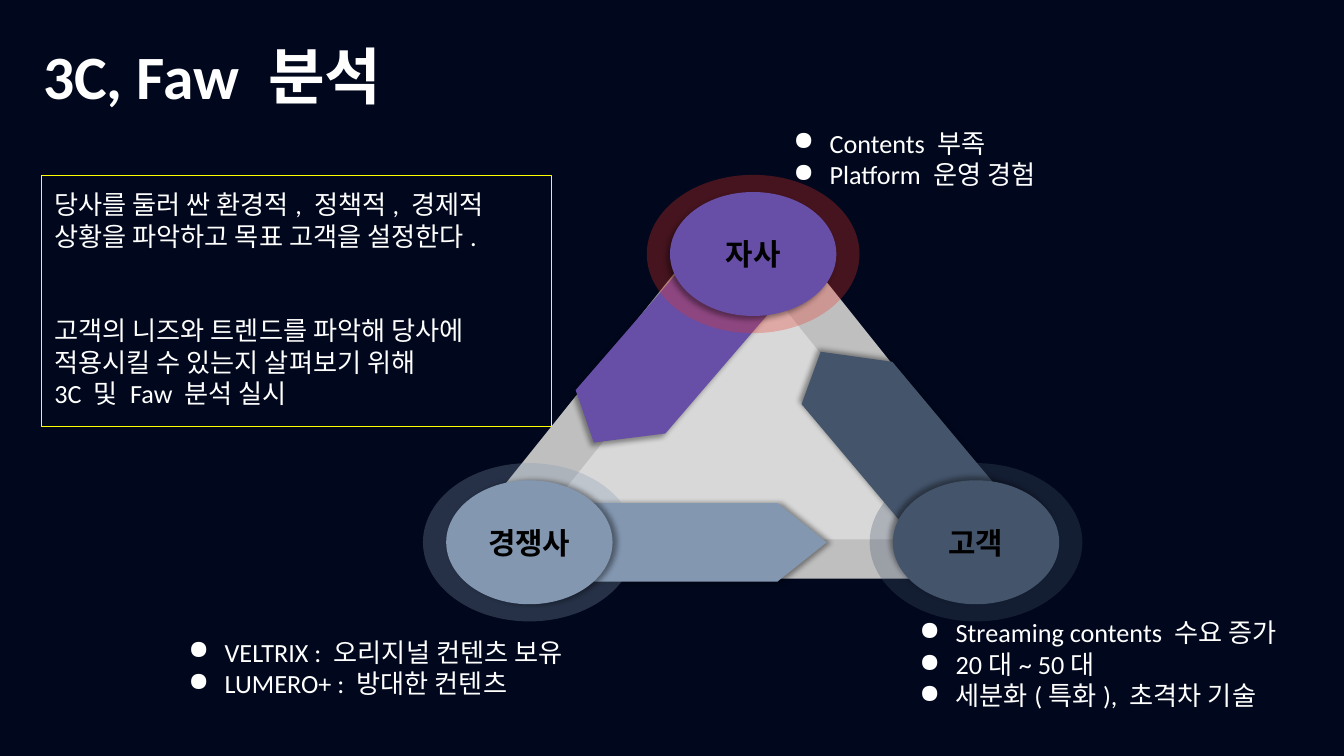
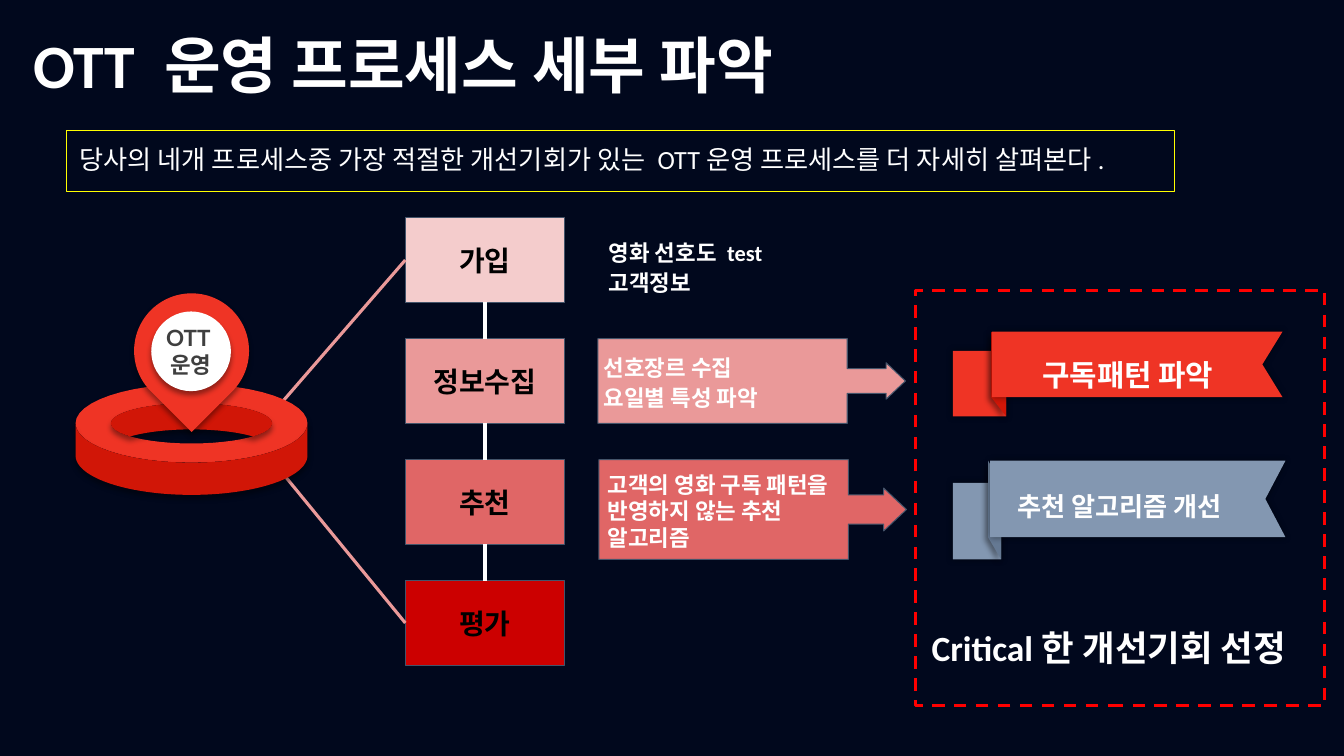
from math import cos, pi, radians, sin

from lxml import etree
from pptx import Presentation
from pptx.dml.color import RGBColor
from pptx.enum.dml import MSO_LINE
from pptx.enum.shapes import MSO_CONNECTOR, MSO_SHAPE
from pptx.enum.text import MSO_ANCHOR, MSO_AUTO_SIZE, PP_ALIGN
from pptx.oxml.ns import qn
from pptx.util import Inches, Pt

RECT, OVAL, TEARDROP = MSO_SHAPE.RECTANGLE, MSO_SHAPE.OVAL, MSO_SHAPE.TEAR
CALLOUT, STRAIGHT, DASH = MSO_SHAPE.RIGHT_ARROW_CALLOUT, MSO_CONNECTOR.STRAIGHT, MSO_LINE.DASH
TOP, MIDDLE = MSO_ANCHOR.TOP, MSO_ANCHOR.MIDDLE
LEFT, CENTER = PP_ALIGN.LEFT, PP_ALIGN.CENTER
NO_FIT = MSO_AUTO_SIZE.NONE

# Shared look
NIGHT, WHITE, BLACK, YELLOW = "01081D", "FFFFFF", "000000", "FFFF00"
RED, DARK_RED, PURPLE = "EF3425", "D11607", "674EA7"
SLATE, STEEL, DARK_STEEL, EDGE = "44546B", "8397B1", "657993", "44546A"
ROSE, CORAL = "EA9999", "E06666"
TITLE = {"name": "Calibri", "size": 44, "bold": True}
BODY = {"name": "Calibri", "size": 18.7, "bold": False}
NOTE = {"name": "Calibri", "size": 16, "bold": True}
NODE = {"name": "Arial", "size": 21.3, "bold": True}
STEP = {"name": "Arial", "size": 20, "bold": True}
PIN = {"name": "Lato", "size": 16, "bold": True}
CRITICAL = {"name": "Calibri", "size": 25.3, "bold": True}

# Slide 1 content
PURPOSE = [
    "당사를 둘러 싼 환경적, 정책적, 경제적 상황을 파악하고 목표 고객을 설정한다.",
    "고객의 니즈와 트렌드를 파악해 당사에 적용시킬 수 있는지 살펴보기 위해",
    "3C 및 Faw 분석 실시",
]
PLAYERS = [  # name, centre, colour, halo colour, shadow angle
    ("고객", (9.68, 5.38), SLATE, SLATE, 225),
    ("경쟁사", (5.25, 5.38), STEEL, STEEL, 0),
    ("자사", (7.47, 2.52), PURPLE, RED, 135),
]
FINDINGS = [  # box, lines, space before later lines
    ((1.63, 6.26, 4.67, 0.8), ["VELTRIX : 오리지널 컨텐츠 보유", "LUMERO+ : 방대한 컨텐츠"]),
    ((7.63, 1.21, 3.36, 0.6), ["Contents 부족", "Platform 운영 경험"]),
    ((8.88, 6.07, 3.98, 0.9),
     ["Streaming contents 수요 증가", "20대~ 50대", "세분화(특화), 초격차 기술"]),
]
FLOW_ARROWS = [  # colour, shadow angle, outline
    (SLATE, 225, [(9.87, 4.81), (8.85, 3.59), (8.14, 3.49), (7.95, 4.01), (8.97, 5.22)]),
    (PURPLE, 135, [(7.64, 3.09), (6.6, 4.3), (5.89, 4.39), (5.71, 3.87), (6.75, 2.67)]),
    (STEEL, 0, [(5.79, 5.77), (7.71, 5.77), (8.2, 5.38), (7.71, 4.99), (5.79, 4.99)]),
]

# Slide 2 content
SUMMARY = "당사의 네개 프로세스중 가장 적절한 개선기회가 있는 OTT운영 프로세스를 더 자세히 살펴본다."
STEPS = [("가입", "F4CCCC"), ("정보수집", ROSE), ("추천", CORAL), ("평가", "CC0000")]
CALLOUTS = [((5.94, 4.56, 3.05, 0.99), CORAL), ((5.93, 3.36, 3.05, 0.84), ROSE)]
STEP_NOTES = [
    ((5.94, 2.32, 1.78, 0.57), ["영화 선호도 test", "고객정보"]),
    ((5.89, 3.46, 1.87, 0.69), ["선호장르 수집", "요일별 특성 파악"]),
    ((5.93, 4.62, 2.41, 1.06), ["고객의 영화 구독 패턴을 반영하지 않는 추천 알고리즘"]),
]
RIBBONS = [  # banner box, tab width, tab drop, fold left, colours, text, text box, size
    ((9.84, 3.29, 2.88, 0.65), 0.53, 0.19, 9.83, (RED, DARK_RED),
     "구독패턴 파악", (10.24, 3.26, 2.08, 0.4), 21.3),
    ((9.82, 4.57, 2.93, 0.76), 0.48, 0.22, 9.8, (STEEL, DARK_STEEL),
     "추천 알고리즘 개선", (9.99, 4.61, 2.82, 0.47), 18.7),
]


def rgb(value):
    return RGBColor.from_string(value)


def child(parent, tag, **attributes):
    return etree.SubElement(parent, qn(tag), {k: str(v) for k, v in attributes.items()})


def paint(shape, fill=None, line=None, width=0.75, dash=None, alpha=None, shadow=None):
    """Fill, outline and shadow; shadow is (blur, distance, angle)."""
    if fill:
        shape.fill.solid()
        shape.fill.fore_color.rgb = rgb(fill)
    else:
        shape.fill.background()
    properties = shape.element.spPr
    if alpha:
        child(properties.find(".//" + qn("a:srgbClr")), "a:alpha", val=alpha * 1000)
    if line:
        shape.line.color.rgb = rgb(line)
        shape.line.width = Pt(width)
        if dash:
            shape.line.dash_style = dash
    else:
        shape.line.fill.background()
    shape.shadow.inherit = False
    if shadow:
        blur, distance, angle = shadow
        cast = child(properties.find(qn("a:effectLst")), "a:outerShdw", blurRad=Pt(blur),
                     dist=Pt(distance), dir=angle * 60000, algn="ctr", rotWithShape=0)
        child(child(cast, "a:srgbClr", val=BLACK), "a:alpha", val=40000)
    return shape


def write(shape, lines, font, color=WHITE, insets=(0.1, 0.05), anchor=TOP, align=LEFT,
          before=(), bullet=False, spacing=None):
    """Write one paragraph per line; before holds the gaps above lines 2, 3, ..."""
    frame = shape.text_frame
    side, end = map(Inches, insets)
    frame_format = {"word_wrap": True, "auto_size": NO_FIT, "vertical_anchor": anchor,
                    "margin_left": side, "margin_right": side,
                    "margin_top": end, "margin_bottom": end}
    for name, value in frame_format.items():
        setattr(frame, name, value)
    for i, line in enumerate(lines):
        paragraph = frame.add_paragraph() if i else frame.paragraphs[0]
        paragraph.alignment = align
        if 0 < i <= len(before):
            paragraph.space_before = Pt(before[i - 1])
        if spacing:
            paragraph.line_spacing = spacing
        if bullet:
            properties = paragraph._p.get_or_add_pPr()
            properties.set("marL", str(Inches(0.5)))
            properties.set("indent", str(Inches(-0.36)))
            child(child(properties, "a:buClr"), "a:srgbClr", val=WHITE)
            child(properties, "a:buChar", char="●")
        run = paragraph.add_run()
        run.text = line
        for name, value in font.items():
            setattr(run.font, name, Pt(value) if name == "size" else value)
        run.font.color.rgb = rgb(color)


def add_shape(slide, kind, box, **look):
    return paint(slide.shapes.add_shape(kind, *map(Inches, box)), **look)


def add_text(slide, box, lines, font, **layout):
    write(slide.shapes.add_textbox(*map(Inches, box)), lines, font, **layout)


def add_outline(slide, *contours, **look):
    scaled = [[(Inches(x), Inches(y)) for x, y in contour] for contour in contours]
    builder = slide.shapes.build_freeform(*scaled[0][0])
    builder.add_line_segments(scaled[0][1:])
    for hole in scaled[1:]:
        builder.move_to(*hole[0])
        builder.add_line_segments(hole[1:])
    return paint(builder.convert_to_shape(), **look)


def add_line(slide, start, end, color, width):
    line = slide.shapes.add_connector(STRAIGHT, *map(Inches, start + end))
    line.line.color.rgb = rgb(color)
    line.line.width = Pt(width)
    child(line.element.spPr, "a:effectLst")
    return line


def add_titled_slide(prs, title, box):
    slide = prs.slides.add_slide(prs.slide_layouts[5])
    heading = slide.shapes.title
    heading.left, heading.top, heading.width, heading.height = map(Inches, box)
    write(heading, [title], TITLE)
    return slide


def centred(center, width, height):
    return center[0] - width / 2, center[1] - height / 2, width, height


def arc(center, rx, ry, start, end, count=48):
    """Points on an ellipse; angles in degrees, clockwise from the right."""
    angles = [radians(start + (end - start) * i / count) for i in range(count + 1)]
    return [(center[0] + rx * cos(a), center[1] + ry * sin(a)) for a in angles]


def bezier(a, b, c, d, count=16):
    weights = [((1 - t) ** 3, 3 * t * (1 - t) ** 2, 3 * t * t * (1 - t), t ** 3)
               for t in (i / count for i in range(count + 1))]
    return [tuple(sum(w * p[axis] for w, p in zip(row, (a, b, c, d))) for axis in (0, 1))
            for row in weights]


def rounded_triangle(left, top, scale):
    corners = [
        ((0.57, 3.73), (0.17, 3.73), (0, 3.52), (0.2, 3.28)),
        ((2.63, 0.25), (2.82, 0), (3.15, 0), (3.35, 0.25)),
        ((5.77, 3.28), (5.97, 3.52), (5.81, 3.73), (5.41, 3.73)),
    ]
    return [(left + scale * x, top + scale * y)
            for corner in corners for x, y in bezier(*corner)]


def build_analysis(prs):
    slide = add_titled_slide(prs, "3C, Faw 분석", (0.33, 0.33, 3.98, 0.84))
    # Triangle with the flow between the players
    add_outline(slide, rounded_triangle(4.42, 2.01, 1), fill="BFBFBF")
    add_outline(slide, rounded_triangle(5.32, 2.74, 0.7), fill="D8D8D8")
    for color, angle, outline in FLOW_ARROWS:
        add_outline(slide, outline, fill=color, shadow=(4, 3, angle))
    # Players with halos
    for name, center, color, halo, angle in PLAYERS:
        add_shape(slide, OVAL, centred(center, 2.11, 1.57), fill=halo, alpha=29)
        player = add_shape(slide, OVAL, centred(center, 1.65, 1.23), fill=color,
                           shadow=(4, 3, angle))
        write(player, [name], NODE, color=BLACK, insets=(0.13, 0.07),
              anchor=MIDDLE, align=CENTER)
    # Findings and purpose
    for box, lines in FINDINGS:
        add_text(slide, box, lines, BODY, bullet=True)
    purpose = add_shape(slide, RECT, (0.41, 1.74, 5.06, 2.49), line=YELLOW)
    write(purpose, PURPOSE, BODY, insets=(0.13, 0.13), before=(45,))


def add_ribbon(slide, banner, tab_width, drop, fold_left, colors, text, text_box, size):
    left, top, width, height = banner
    right, bottom, tab_top = left + width, top + height, top + drop
    tab_right = 9.45 + tab_width
    front, back = colors
    add_shape(slide, RECT, (9.45, tab_top, tab_width, height), fill=front, shadow=(5, 0, 0))
    add_outline(slide, [(fold_left, top), (tab_right, tab_top), (tab_right, tab_top + height),
                        (fold_left, bottom)], fill=back, shadow=(4, 3, 135))
    add_outline(slide, [(left, top), (right, top), (right - 0.2, top + height / 2),
                        (right, bottom), (left, bottom)], fill=front, shadow=(5, 0, 0))
    add_text(slide, text_box, [text], {**NOTE, "size": size}, insets=(0.1, 0.1), spacing=1.5)


def build_process(prs):
    slide = add_titled_slide(prs, "OTT 운영 프로세스 세부 파악", (0.23, 0.22, 8.52, 0.84))
    add_shape(slide, RECT, (9.08, 2.88, 4.06, 4.12), line="FF0000", width=2.25, dash=DASH)
    for box, color in CALLOUTS:
        callout = add_shape(slide, CALLOUT, box, fill=color, line=EDGE)
        for i, value in enumerate((0.292, 0.215, 0.228, 0.811)):
            callout.adjustments[i] = value

    # Process steps, joined top to bottom
    steps = []
    for i, (name, color) in enumerate(STEPS):
        step = add_shape(slide, RECT, (4.02, 2.16 + 1.2 * i, 1.58, 0.84), fill=color, line=EDGE)
        write(step, [name], STEP, color=BLACK, insets=(0.1, 0.1), anchor=MIDDLE, align=CENTER)
        steps.append(step)
    for upper, lower in zip(steps, steps[1:]):
        link = add_line(slide, (4.81, 3), (4.81, 3.36), WHITE, 3)
        link.begin_connect(upper, 2)
        link.end_connect(lower, 0)
    for start, step in (((2.78, 4.01), steps[0]), ((2.84, 4.74), steps[-1])):
        add_line(slide, start, (4.02, 2.58), ROSE, 2.25).end_connect(step, 1)

    # Ring: top face, inner wall, outer wall
    center, soft = (1.9, 4.2), (4, 3, 90)
    wall_center = (1.9, 4.46)
    meet = 180 / pi * 0.69
    add_outline(slide, arc(center, 1.15, 0.39, 0, 360), arc(center, 0.8, 0.2, 0, 360),
                fill=RED, shadow=soft)
    add_outline(slide, arc(center, 0.8, 0.2, 180 - meet, 360 + meet)
                + arc(wall_center, 0.8, 0.2, -meet, meet - 180), fill=DARK_RED, shadow=soft)
    add_outline(slide, arc(center, 1.15, 0.39, 180, 0)
                + arc((1.9, 4.52), 1.15, 0.39, 0, 180), fill=DARK_RED, shadow=soft)
    # Map pin
    pin = add_shape(slide, TEARDROP, (1.33, 2.91, 1.14, 1.14), fill=RED, shadow=soft)
    pin.rotation = 135
    label = add_shape(slide, OVAL, (1.5, 3.09, 0.79, 0.79), fill=WHITE, shadow=soft)
    write(label, ["OTT운영"], PIN, color="3F3F3F", insets=(0, 0), anchor=MIDDLE, align=CENTER)

    # Notes, chosen improvements and summary
    for box, lines in STEP_NOTES:
        add_text(slide, box, lines, NOTE, before=(2.7,))
    for ribbon in RIBBONS:
        add_ribbon(slide, *ribbon)
    summary = add_shape(slide, RECT, (0.66, 1.29, 10.99, 0.61), line=YELLOW)
    write(summary, [SUMMARY], BODY, insets=(0.13, 0.13))
    add_text(slide, (9.11, 6.08, 4.04, 0.65), ["Critical한 개선기회 선정"], CRITICAL,
             insets=(0.13, 0.13))


def main():
    prs = Presentation()
    prs.slide_width, prs.slide_height = Inches(13.33), Inches(7.5)
    backdrop = prs.slide_master.background.fill
    backdrop.solid()
    backdrop.fore_color.rgb = rgb(NIGHT)
    build_analysis(prs)
    build_process(prs)
    prs.save("out.pptx")


if __name__ == "__main__":
    main()
